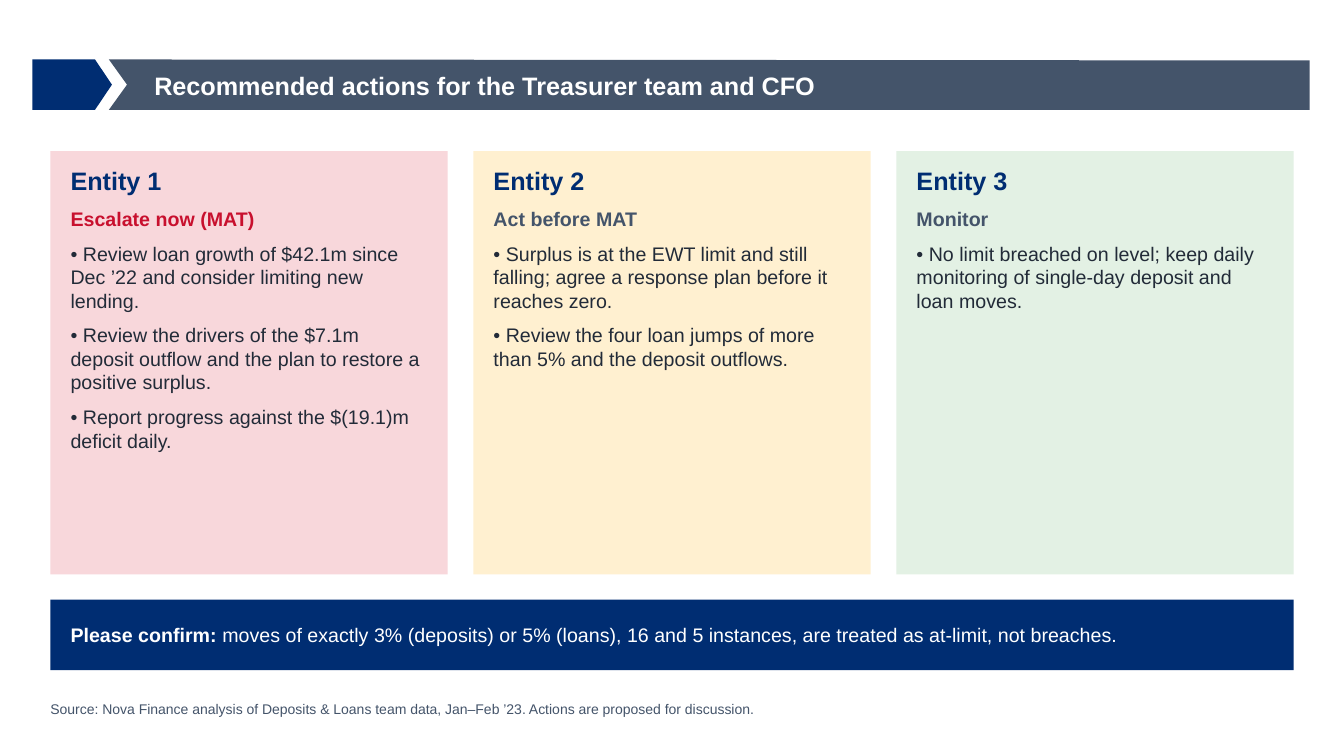
from dataclasses import dataclass

from pptx import Presentation
from pptx.dml.color import RGBColor
from pptx.enum.shapes import MSO_SHAPE
from pptx.enum.text import MSO_ANCHOR, MSO_AUTO_SIZE, PP_ALIGN
from pptx.util import Inches, Pt

RECTANGLE, PENTAGON = MSO_SHAPE.RECTANGLE, MSO_SHAPE.PENTAGON
TOP, MIDDLE = MSO_ANCHOR.TOP, MSO_ANCHOR.MIDDLE
LEFT_ALIGN = PP_ALIGN.LEFT
GROW = MSO_AUTO_SIZE.SHAPE_TO_FIT_TEXT
NO_RESIZE = MSO_AUTO_SIZE.NONE

FONT = "Arial"
NAVY, SLATE, INK, RED, WHITE = "002D72", "44546A", "222B38", "C8102E", "FFFFFF"
MARGIN, CONTENT_WIDTH = 0.5, 12.33
CARD_TOP, CARD_WIDTH, CARD_HEIGHT = 1.5, 3.94, 4.2


@dataclass
class Span:
    text: str
    size: int
    color: str
    bold: bool = False


@dataclass
class EntityCard:
    name: str
    status: str
    status_color: str
    fill: str
    actions: list[str]


CARDS = [
    EntityCard("Entity 1", "Escalate now (MAT)", RED, "F8D7DB", [
        "Review loan growth of $42.1m since Dec ’22 and consider limiting new lending.",
        "Review the drivers of the $7.1m deposit outflow and the plan to restore a positive surplus.",
        "Report progress against the $(19.1)m deficit daily.",
    ]),
    EntityCard("Entity 2", "Act before MAT", SLATE, "FFF0D0", [
        "Surplus is at the EWT limit and still falling; agree a response plan before it reaches zero.",
        "Review the four loan jumps of more than 5% and the deposit outflows.",
    ]),
    EntityCard("Entity 3", "Monitor", SLATE, "E3F1E4", [
        "No limit breached on level; keep daily monitoring of single-day deposit and loan moves.",
    ]),
]


def rgb(color: str) -> RGBColor:
    return RGBColor.from_string(color)


def paint(shape, color: str) -> None:
    shape.shadow.inherit = False
    shape.fill.solid()
    shape.fill.fore_color.rgb = rgb(color)
    shape.line.fill.background()


def add_block(page, kind, left: float, top: float, width: float, height: float, color: str):
    block = page.shapes.add_shape(kind, Inches(left), Inches(top), Inches(width), Inches(height))
    paint(block, color)
    return block


def write(box, paragraphs: list[list[Span]], anchor=TOP, inset_x: float = 0,
          inset_y: float = 0, space_after: int = 8) -> None:
    frame = box.text_frame
    frame.word_wrap = True
    frame.auto_size = NO_RESIZE
    frame.vertical_anchor = anchor
    frame.margin_left = frame.margin_right = Inches(inset_x)
    frame.margin_top = frame.margin_bottom = Inches(inset_y)
    for index, spans in enumerate(paragraphs):
        para = frame.add_paragraph() if index else frame.paragraphs[0]
        para.alignment = LEFT_ALIGN
        para.space_after = Pt(space_after)
        for span in spans:
            run = para.add_run()
            run.text = span.text
            run.font.name = FONT
            run.font.size = Pt(span.size)
            run.font.bold = span.bold
            run.font.color.rgb = rgb(span.color)


def add_title_band(page) -> None:
    add_block(page, PENTAGON, 0.32, 0.59, 0.79, 0.5, NAVY).adjustments[0] = 0.336
    corners = [(1.08, 0.59), (12.99, 0.6), (12.99, 1.09), (1.08, 1.09), (1.26, 0.84)]
    points = [(Inches(x), Inches(y)) for x, y in corners]
    builder = page.shapes.build_freeform(*points[0])
    builder.add_line_segments(points[1:], close=True)
    band = builder.convert_to_shape()
    paint(band, SLATE)

    # The title sits on top of the band
    title = page.shapes.title
    title.left, title.top, title.width, title.height = map(Inches, (1.53, 0.61, 10.48, 0.47))
    write(title, [[Span("Recommended actions for the Treasurer team and CFO", 18, WHITE, True)]],
          MIDDLE, space_after=0)
    band._element.addnext(title._element)


def add_card(page, card: EntityCard, left: float) -> None:
    box = add_block(page, RECTANGLE, left, CARD_TOP, CARD_WIDTH, CARD_HEIGHT, card.fill)
    heading = [[Span(card.name, 18, NAVY, True)], [Span(card.status, 14, card.status_color, True)]]
    actions = [[Span(f"• {action}", 14, INK)] for action in card.actions]
    write(box, heading + actions, TOP, 0.2, 0.14)


def main() -> None:
    deck = Presentation()
    deck.slide_width, deck.slide_height = Inches(13.33), Inches(7.5)
    page = deck.slides.add_slide(deck.slide_layouts[5])

    add_title_band(page)

    # Entity cards, spread evenly over the content width
    pitch = (CONTENT_WIDTH - CARD_WIDTH) / (len(CARDS) - 1)
    for index, card in enumerate(CARDS):
        add_card(page, card, MARGIN + index * pitch)

    # Confirmation bar
    bar = add_block(page, RECTANGLE, MARGIN, 5.95, CONTENT_WIDTH, 0.7, NAVY)
    write(bar, [[
        Span("Please confirm: ", 14, WHITE, True),
        Span("moves of exactly 3% (deposits) or 5% (loans), 16 and 5 instances, "
             "are treated as at-limit, not breaches.", 14, WHITE),
    ]], MIDDLE, 0.2, 0.14)

    # Source line
    source = page.shapes.add_textbox(Inches(MARGIN), Inches(6.95), Inches(12.3), Inches(0.3))
    write(source, [[Span("Source: Nova Finance analysis of Deposits & Loans team data, "
                         "Jan–Feb ’23. Actions are proposed for discussion.", 10, SLATE)]])
    source.text_frame.auto_size = GROW

    deck.save("out.pptx")


if __name__ == "__main__":
    main()
